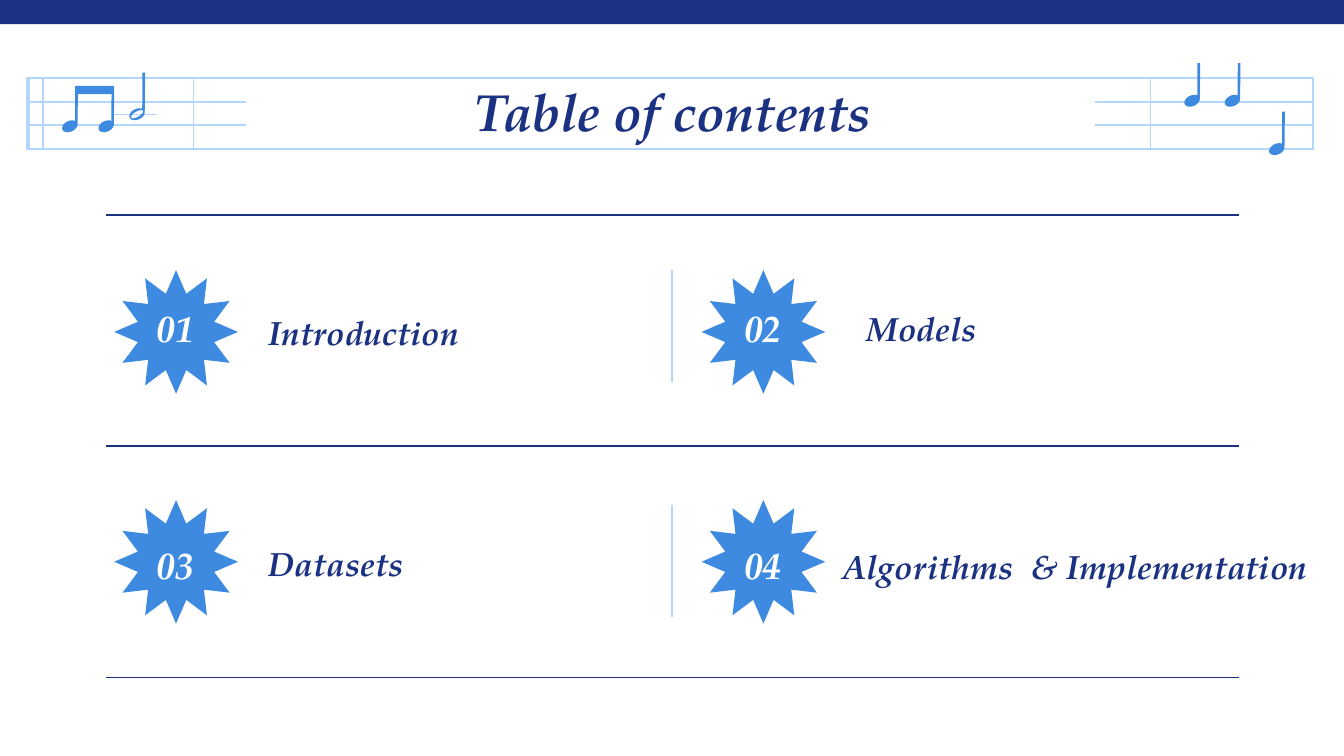
from math import cos, radians, sin

from lxml import etree
from pptx import Presentation
from pptx.dml.color import RGBColor
from pptx.enum.shapes import MSO_CONNECTOR, MSO_SHAPE
from pptx.enum.text import MSO_ANCHOR, PP_ALIGN
from pptx.oxml.ns import qn
from pptx.util import Inches, Pt

STRAIGHT = MSO_CONNECTOR.STRAIGHT
RECTANGLE, STAR = MSO_SHAPE.RECTANGLE, MSO_SHAPE.STAR_12_POINT
TOP, MIDDLE, BOTTOM = MSO_ANCHOR.TOP, MSO_ANCHOR.MIDDLE, MSO_ANCHOR.BOTTOM
LEFT, CENTER = PP_ALIGN.LEFT, PP_ALIGN.CENTER

SLIDE_WIDTH = 10
SLIDE_HEIGHT = SLIDE_WIDTH * 9 / 16
FONT = "TeX Gyre Pagella"
COLORS = {"navy": "1B3181", "blue": "3D8AE0", "pale": "B3D6FD", "white": "FFFFFF"}

STAFF_LEFT, STAFF_RIGHT = 0.21, 9.77
STAR_SIZE = 0.92
STEM_LEFT, STEM_RIGHT = 0.04, 0.06  # offsets from the centre of a note head
# number, star left, star top, number top, label, label left, label top, label width
ENTRIES = [
    ("01", 0.85, 2.01, 2.18, "Introduction", 1.9, 2.26, 2.97),
    ("02", 5.22, 2.01, 2.18, "Models", 6.35, 2.23, 2.97),
    ("03", 0.85, 3.72, 3.94, "Datasets", 1.9, 3.98, 2.97),
    ("04", 5.22, 3.72, 3.94, "Algorithms  & Implementation", 6.17, 4.0, 3.75),
]


def color(name):
    return RGBColor.from_string(COLORS[name])


def paint(shape, fill):
    shape.shadow.inherit = False
    shape.fill.solid()
    shape.fill.fore_color.rgb = color(fill)
    shape.line.fill.background()


def add_filled_shape(slide, kind, left, top, width, height, fill):
    shape = slide.shapes.add_shape(
        kind, Inches(left), Inches(top), Inches(width), Inches(height))
    paint(shape, fill)
    return shape


def add_line(slide, x1, y1, x2, y2, line_color="pale", width=0.75):
    line = slide.shapes.add_connector(
        STRAIGHT, Inches(x1), Inches(y1), Inches(x2), Inches(y2))
    line.line.color.rgb = color(line_color)
    line.line.width = Pt(width)
    etree.SubElement(line._element.spPr, qn("a:effectLst"))


def add_text(slide, text, left, top, width, height, size, font_color="navy",
             align=LEFT, anchor=BOTTOM):
    box = slide.shapes.add_textbox(
        Inches(left), Inches(top), Inches(width), Inches(height))
    frame = box.text_frame
    frame.word_wrap = True
    frame.vertical_anchor = anchor
    frame.margin_left = frame.margin_right = Inches(0.1)
    frame.margin_top = frame.margin_bottom = Inches(0.1)
    paragraph = frame.paragraphs[0]
    paragraph.text = text
    paragraph.alignment = align
    font = paragraph.font
    font.name, font.size = FONT, Pt(size)
    font.bold = font.italic = True
    font.color.rgb = color(font_color)


def tilted_arc(center_x, center_y, long_axis, short_axis, start, end, tilt=25):
    """Points of a tilted ellipse, stepping through its angles in degrees."""
    slope = radians(tilt)
    points = []
    for angle in range(start, end, -10):
        along = long_axis * cos(radians(angle))
        across = short_axis * sin(radians(angle))
        points.append((center_x + along * cos(slope) + across * sin(slope),
                       center_y - along * sin(slope) + across * cos(slope)))
    return points


def note_outline(x, y, stem_top, inner_top=None):
    """Outline down the stem, round the head and up to inner_top or stem_top."""
    end_top = stem_top if inner_top is None else inner_top
    head = tilted_arc(x, y, 0.06, 0.04, -30, -350)
    return [(x + STEM_LEFT, stem_top), *head, (x + STEM_RIGHT, end_top)]


def add_outline(slide, *contours):
    scaled = [[(Inches(x), Inches(y)) for x, y in contour] for contour in contours]
    builder = slide.shapes.build_freeform(*scaled[0][0], scale=1.0)
    builder.add_line_segments(scaled[0][1:], close=True)
    for contour in scaled[1:]:
        builder.move_to(*contour[0])
        builder.add_line_segments(contour[1:], close=True)
    paint(builder.convert_to_shape(), "blue")


def add_staff(slide):
    for y in (0.58, 1.11):
        add_line(slide, STAFF_LEFT, y, STAFF_RIGHT, y)
    for y in (0.76, 0.93):
        add_line(slide, STAFF_LEFT, y, 1.83, y)
        add_line(slide, 8.15, y, STAFF_RIGHT, y)
    for x, width in ((STAFF_LEFT, 2.25), (0.32, 1.5), (1.44, 0.75),
                     (8.56, 0.75), (STAFF_RIGHT, 0.75)):
        add_line(slide, x, 0.57, x, 1.12, width=width)


def add_notes(slide):
    beam_top, beam_bottom = 0.64, 0.7
    first = note_outline(0.52, 0.94, beam_top, beam_bottom)
    second = note_outline(0.79, 0.94, beam_bottom, beam_top)
    add_outline(slide, first + second)

    add_line(slide, 0.85, 0.85, 1.17, 0.85)
    hole = tilted_arc(1.02, 0.85, 0.05, 0.02, 0, -360, tilt=30)
    add_outline(slide, note_outline(1.02, 0.85, 0.54), hole)

    for x, y in ((8.87, 0.75), (9.17, 0.75), (9.5, 1.11)):
        add_outline(slide, note_outline(x, y, y - 0.28))


def add_entry(slide, number, star_left, star_top, number_top,
              label, label_left, label_top, label_width):
    star = add_filled_shape(
        slide, STAR, star_left, star_top, STAR_SIZE, STAR_SIZE, "blue")
    star.adjustments[0] = 0.319
    add_text(slide, number, star_left - 0.07, number_top, 1.05, 0.52, 20,
             "white", CENTER, MIDDLE)
    add_text(slide, label, label_left, label_top, label_width, 0.46, 18)


def main():
    presentation = Presentation()
    presentation.slide_width = Inches(SLIDE_WIDTH)
    presentation.slide_height = Inches(SLIDE_HEIGHT)
    slide = presentation.slides.add_slide(presentation.slide_layouts[6])

    add_filled_shape(slide, RECTANGLE, 0, 0, 10.01, 0.18, "navy")
    add_staff(slide)
    for entry in ENTRIES:
        add_entry(slide, *entry)
    add_text(slide, "Table of contents", 2.38, 0.49, 5.25, 0.63, 28,
             align=CENTER, anchor=TOP)
    for top in (2.01, 3.76):
        add_line(slide, 5, top, 5, top + 0.83)
    for row in range(3):
        y = 1.6 + row * 1.72
        add_line(slide, 0.79, y, 9.22, y, "navy")
    add_notes(slide)

    presentation.save("out.pptx")


if __name__ == "__main__":
    main()
